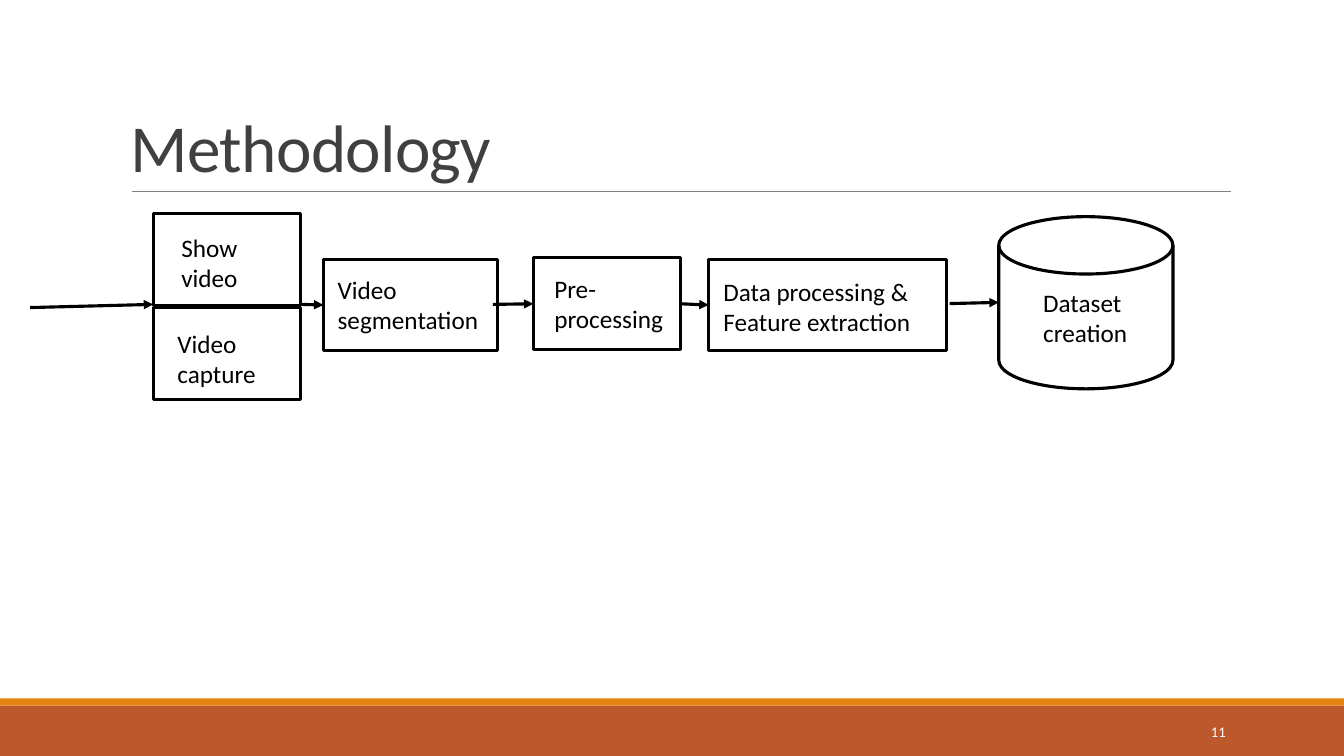
from dataclasses import dataclass
from typing import Optional

from pptx import Presentation
from pptx.dml.color import RGBColor
from pptx.enum.shapes import MSO_CONNECTOR as Link, MSO_SHAPE as Preset
from pptx.enum.text import MSO_ANCHOR as Anchor, PP_ALIGN as Align
from pptx.oxml.ns import qn
from pptx.shapes.autoshape import Shape
from pptx.shapes.connector import Connector
from pptx.slide import Slide
from pptx.text.text import _Paragraph as Paragraph
from pptx.util import Cm, Pt
from lxml.etree import SubElement

COLORS = {
    "footer": "BD582C", "accent": "E48312", "rule": "808080",
    "title": "404040", "ink": "000000", "paper": "FFFFFF",
}
FONT = "Calibri"
SLIDE_W, SLIDE_H = 33.87, 19.05
STAGE_H, LABEL_H = 2.31, 1.8
STROKE = 2.25
LEFT, RIGHT = 1, 3


@dataclass
class Stage:
    text: str
    box: tuple[float, float, float, float]
    label: tuple[float, float, float]  # left, top, width
    preset: Preset = Preset.RECTANGLE


@dataclass
class Flow:
    start: tuple[float, float]
    end: tuple[float, float]
    source: Optional[str] = None
    target: Optional[str] = None


STAGES = [
    Stage("Video capture", (3.86, 7.75, 3.71, STAGE_H), (4.22, 8.15, 2.69)),
    Stage("Show video", (3.86, 5.38, 3.71, STAGE_H), (4.32, 5.72, 2.97)),
    Stage("Video segmentation", (8.15, 6.53, 4.39, STAGE_H), (8.26, 6.78, 4.17)),
    Stage("Pre-processing", (13.44, 6.5, 3.71, STAGE_H), (13.72, 6.76, 3.25)),
    Stage("Data processing & Feature extraction", (17.86, 6.53, 5.99, STAGE_H), (17.98, 6.83, 6.6)),
    Stage("Dataset creation", (25.17, 5.46, 4.39, 4.34), (26.04, 7.11, 3.4),
          Preset.FLOWCHART_MAGNETIC_DISK),
]
FLOWS = [
    Flow((0.76, 7.75), (3.86, 7.67)),
    Flow((7.59, 7.67), (8.15, 7.68), target="Video segmentation"),
    Flow((12.42, 7.67), (13.44, 7.65), target="Pre-processing"),
    Flow((17.15, 7.65), (17.86, 7.68), "Pre-processing", "Data processing & Feature extraction"),
    Flow((23.93, 7.65), (25.17, 7.62)),
]


def color(key: str) -> RGBColor:
    return RGBColor.from_string(COLORS[key])


def add_block(slide: Slide, preset: Preset, box: tuple[float, ...], fill: str,
              outline: Optional[str] = None) -> Shape:
    block = slide.shapes.add_shape(preset, *map(Cm, box))
    block.shadow.inherit = False
    block.fill.solid()
    block.fill.fore_color.rgb = color(fill)
    if outline:
        block.line.color.rgb = color(outline)
        block.line.width = Pt(STROKE)
    else:
        block.line.fill.background()
    return block


def add_text(slide: Slide, text: str, box: tuple[float, ...], size: float, ink: str,
             anchor: Anchor = Anchor.TOP, align: Align = Align.LEFT) -> Paragraph:
    frame = slide.shapes.add_textbox(*map(Cm, box)).text_frame
    frame.word_wrap = True
    frame.vertical_anchor = anchor
    frame.text = text
    paragraph = frame.paragraphs[0]
    paragraph.alignment = align
    font = paragraph.runs[0].font
    font.name, font.size = FONT, Pt(size)
    font.color.rgb = color(ink)
    return paragraph


def add_line(slide: Slide, start: tuple[float, float], end: tuple[float, float],
             ink: str, width: float) -> Connector:
    line = slide.shapes.add_connector(Link.STRAIGHT, *map(Cm, start + end))
    line.line.color.rgb = color(ink)
    line.line.width = Pt(width)
    SubElement(line._element.spPr, qn("a:effectLst"))
    return line


def add_flow(slide: Slide, flow: Flow, boxes: dict[str, Shape]) -> None:
    arrow = add_line(slide, flow.start, flow.end, "ink", STROKE)
    SubElement(arrow.line._get_or_add_ln(), qn("a:tailEnd"), type="triangle")
    if flow.source:
        arrow.begin_connect(boxes[flow.source], RIGHT)
    if flow.target:
        arrow.end_connect(boxes[flow.target], LEFT)


def main() -> None:
    deck = Presentation()
    deck.slide_width, deck.slide_height = Cm(SLIDE_W), Cm(SLIDE_H)
    slide = deck.slides.add_slide(deck.slide_layouts[6])

    # Footer bands and title rule
    add_block(slide, Preset.RECTANGLE, (0, 17.78, SLIDE_W, 1.27), "footer")
    add_block(slide, Preset.RECTANGLE, (0, 17.6, SLIDE_W, 0.18), "accent")
    add_line(slide, (3.33, 4.83), (31.01, 4.83), "rule", 0.5)

    # Title and page number
    title = add_text(slide, "Methodology", (3.05, 0.79, 27.94, 4.04), 48, "title", Anchor.BOTTOM)
    title.line_spacing = 0.85
    title.runs[0].font._element.set("spc", "-50")
    add_text(slide, "11", (27.51, 17.93, 3.63, 1.02), 10.5, "paper", Anchor.MIDDLE, Align.RIGHT)

    # Stages with their labels
    boxes: dict[str, Shape] = {}
    for stage in STAGES:
        boxes[stage.text] = add_block(slide, stage.preset, stage.box, "paper", "ink")
        add_text(slide, stage.text, (*stage.label, LABEL_H), 18, "ink")

    # Arrows between the stages
    for flow in FLOWS:
        add_flow(slide, flow, boxes)

    deck.save("out.pptx")


if __name__ == "__main__":
    main()
